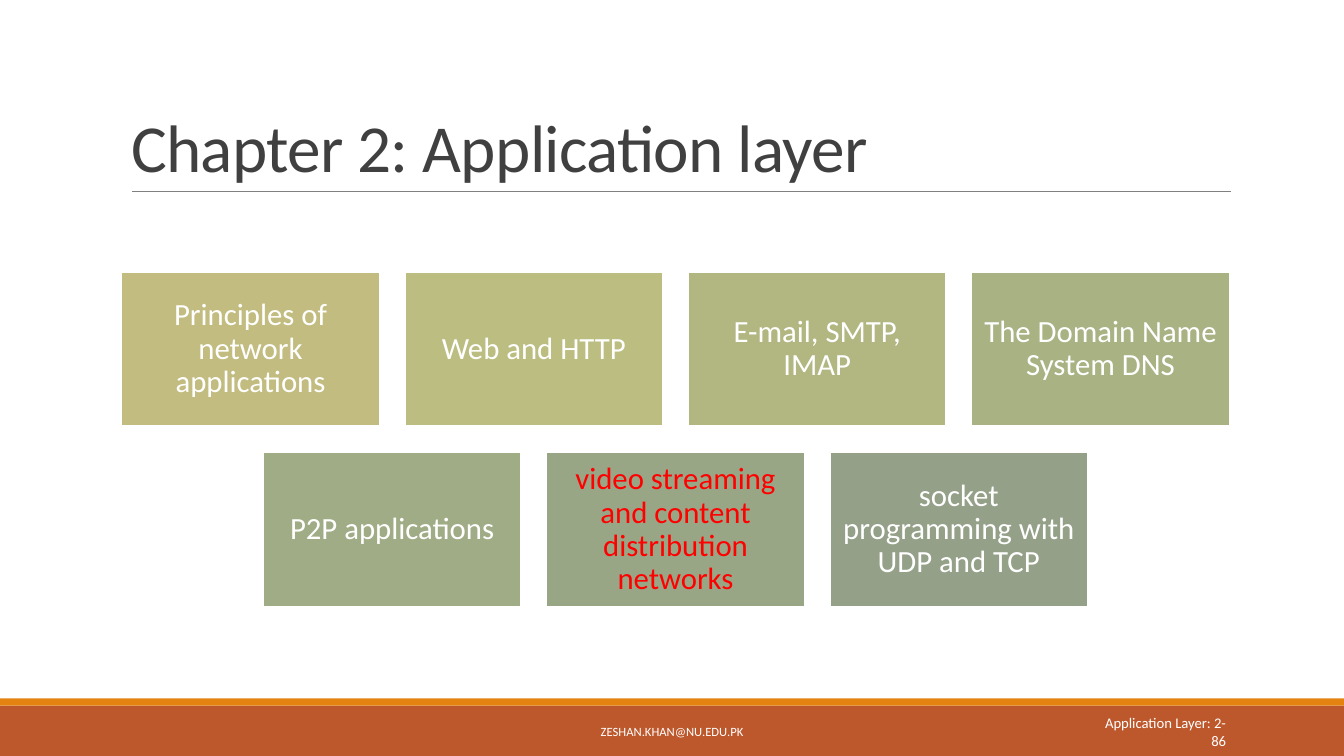
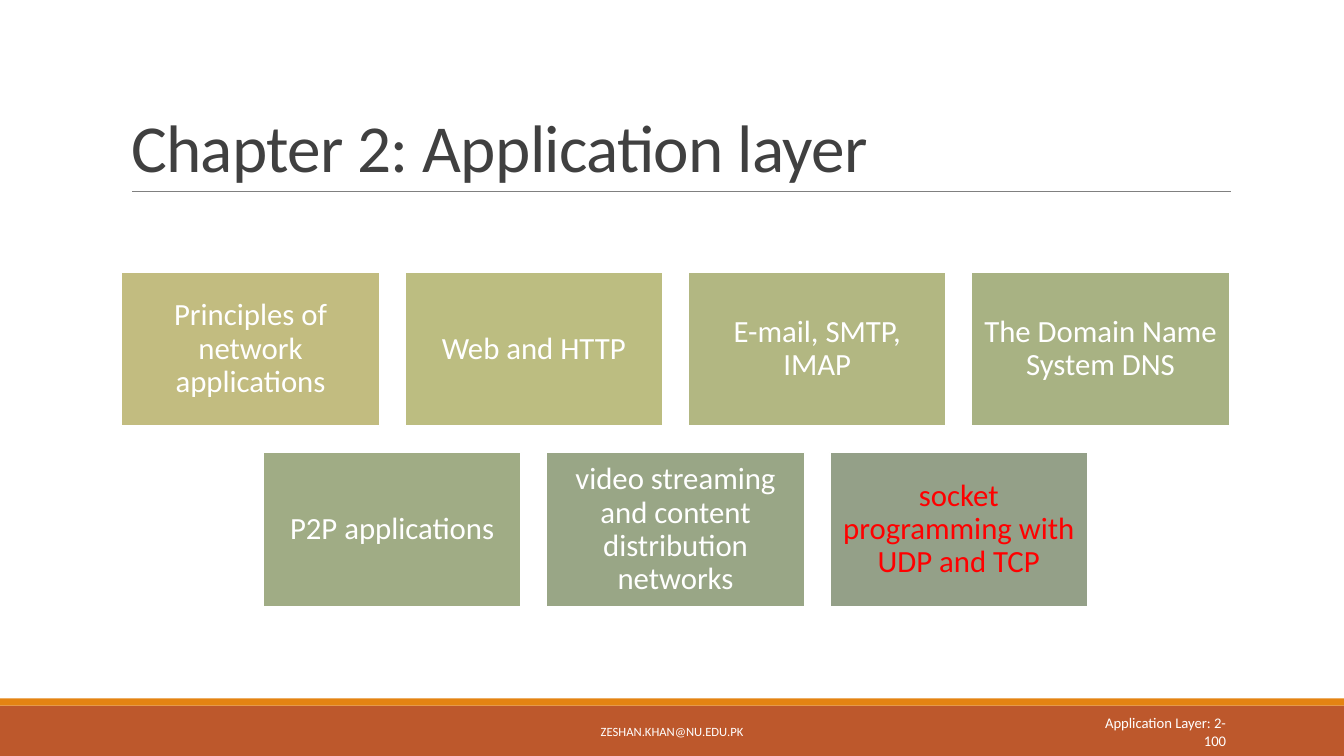
from dataclasses import dataclass

from lxml import etree
from pptx import Presentation
from pptx.dml.color import RGBColor
from pptx.enum import shapes, text
from pptx.oxml import ns
from pptx.shapes.autoshape import Shape
from pptx.slide import Slide
from pptx.util import Inches, Pt


@dataclass(frozen=True)
class Theme:
    font: str = "Calibri"
    title: str = "404040"
    rule: str = "808080"
    band: str = "BD582C"
    stripe: str = "E48312"
    white: str = "FFFFFF"
    current: str = "FF0000"
    title_size: float = 48
    topic_size: float = 22
    number_size: float = 10.5
    address_size: float = 9


@dataclass(frozen=True)
class Topic:
    label: str
    fill: str


@dataclass(frozen=True)
class Area:
    left: float
    top: float
    width: float
    height: float

    def lengths(self) -> tuple:
        return tuple(map(Inches, (self.left, self.top, self.width, self.height)))


@dataclass(frozen=True)
class TextStyle:
    size: float
    color: str
    align: text.PP_ALIGN
    anchor: text.MSO_ANCHOR = text.MSO_ANCHOR.MIDDLE
    spacing: float = 1.0
    inset_x: float = 0.1
    inset_y: float = 0.05


THEME = Theme()
SLIDE_WIDTH, SLIDE_HEIGHT = 13.33, 7.5
TITLE_AREA = Area(1.2, 0.31, 11, 1.59)
ADDRESS_AREA = Area(4.03, 7.06, 5.27, 0.4)
NUMBER_AREA = Area(10.83, 7.06, 1.43, 0.4)
BANDS = (
    (Area(0, 7, SLIDE_WIDTH, 0.5), THEME.band),
    (Area(0, 6.93, SLIDE_WIDTH, 0.07), THEME.stripe),
)

TOPIC_WIDTH, TOPIC_HEIGHT, TOPIC_GAP = 2.56, 1.53, 0.25
GRID_CENTER = TITLE_AREA.left + TITLE_AREA.width / 2
TOPIC_ROWS = (
    (2.7, (
        Topic("Principles of network applications", "C2BC80"),
        Topic("Web and HTTP", "BCBD81"),
        Topic("E-mail, SMTP, IMAP", "B2B782"),
        Topic("The Domain Name System DNS", "A8B283"),
    )),
    (4.49, (
        Topic("P2P applications", "A0AC85"),
        Topic("video streaming and content distribution networks", "99A686"),
        Topic("socket programming with UDP and TCP", "94A088"),
    )),
)
# Page number and the label of the topic that starts there
PAGES = (
    (86, "video streaming and content distribution networks"),
    (100, "socket programming with UDP and TCP"),
)


def write(box: Shape, wording: str, style: TextStyle) -> None:
    frame = box.text_frame
    frame.text = wording
    para = frame.paragraphs[0]
    formats = (
        (frame, {
            "word_wrap": True,
            "auto_size": text.MSO_AUTO_SIZE.NONE,
            "vertical_anchor": style.anchor,
            "margin_left": Inches(style.inset_x),
            "margin_right": Inches(style.inset_x),
            "margin_top": Inches(style.inset_y),
            "margin_bottom": Inches(style.inset_y),
        }),
        (para, {
            "alignment": style.align,
            "line_spacing": style.spacing,
            "space_before": Pt(0),
        }),
        (para.runs[0].font, {"name": THEME.font, "size": Pt(style.size)}),
    )
    for target, values in formats:
        for name, value in values.items():
            setattr(target, name, value)
    para.runs[0].font.color.rgb = RGBColor.from_string(style.color)


def add_rectangle(page: Slide, area: Area, fill: str) -> Shape:
    box = page.shapes.add_shape(shapes.MSO_SHAPE.RECTANGLE, *area.lengths())
    box.shadow.inherit = False
    box.fill.solid()
    box.fill.fore_color.rgb = RGBColor.from_string(fill)
    box.line.fill.background()
    return box


def add_title(page: Slide, wording: str) -> None:
    title = page.shapes.title
    title.left, title.top, title.width, title.height = TITLE_AREA.lengths()
    write(title, wording, TextStyle(
        THEME.title_size, THEME.title, text.PP_ALIGN.LEFT,
        anchor=text.MSO_ANCHOR.BOTTOM, spacing=0.85))
    span = title.text_frame.paragraphs[0].runs[0]
    span._r.get_or_add_rPr().set("spc", "-50")


def add_frame(page: Slide) -> None:
    """Draw the bottom bands and the rule under the title."""
    for area, fill in BANDS:
        add_rectangle(page, area, fill)
    rule = page.shapes.add_connector(
        shapes.MSO_CONNECTOR.STRAIGHT,
        Inches(1.31), Inches(1.9), Inches(12.21), Inches(1.9))
    rule.line.color.rgb = RGBColor.from_string(THEME.rule)
    rule.line.width = Pt(0.5)
    etree.SubElement(rule._element.spPr, ns.qn("a:effectLst"))


def add_footer(page: Slide, number: int) -> None:
    footers = (
        (ADDRESS_AREA, "ZESHAN.KHAN@NU.EDU.PK", THEME.address_size, text.PP_ALIGN.CENTER),
        (NUMBER_AREA, f"Application Layer: 2-{number}", THEME.number_size, text.PP_ALIGN.RIGHT),
    )
    for area, wording, size, align in footers:
        box = page.shapes.add_textbox(*area.lengths())
        write(box, wording, TextStyle(size, THEME.white, align))


def add_topics(page: Slide, current: str) -> None:
    """Draw the topics in centred rows, with the current one in red."""
    pitch = TOPIC_WIDTH + TOPIC_GAP
    for top, topics in TOPIC_ROWS:
        left = GRID_CENTER - (len(topics) * pitch - TOPIC_GAP) / 2
        for column, topic in enumerate(topics):
            area = Area(left + column * pitch, top, TOPIC_WIDTH, TOPIC_HEIGHT)
            box = add_rectangle(page, area, topic.fill)
            box.line.color.rgb = RGBColor.from_string(THEME.white)
            box.line.width = Pt(1.25)
            color = THEME.current if topic.label == current else THEME.white
            write(box, topic.label, TextStyle(
                THEME.topic_size, color, text.PP_ALIGN.CENTER,
                spacing=0.9, inset_x=0.09, inset_y=0.09))


def main() -> None:
    deck = Presentation()
    deck.slide_width, deck.slide_height = Inches(SLIDE_WIDTH), Inches(SLIDE_HEIGHT)
    title_only = deck.slide_layouts.get_by_name("Title Only")
    for number, current in PAGES:
        page = deck.slides.add_slide(title_only)
        add_frame(page)
        add_title(page, "Chapter 2: Application layer")
        add_topics(page, current)
        add_footer(page, number)
    deck.save("out.pptx")


if __name__ == "__main__":
    main()
